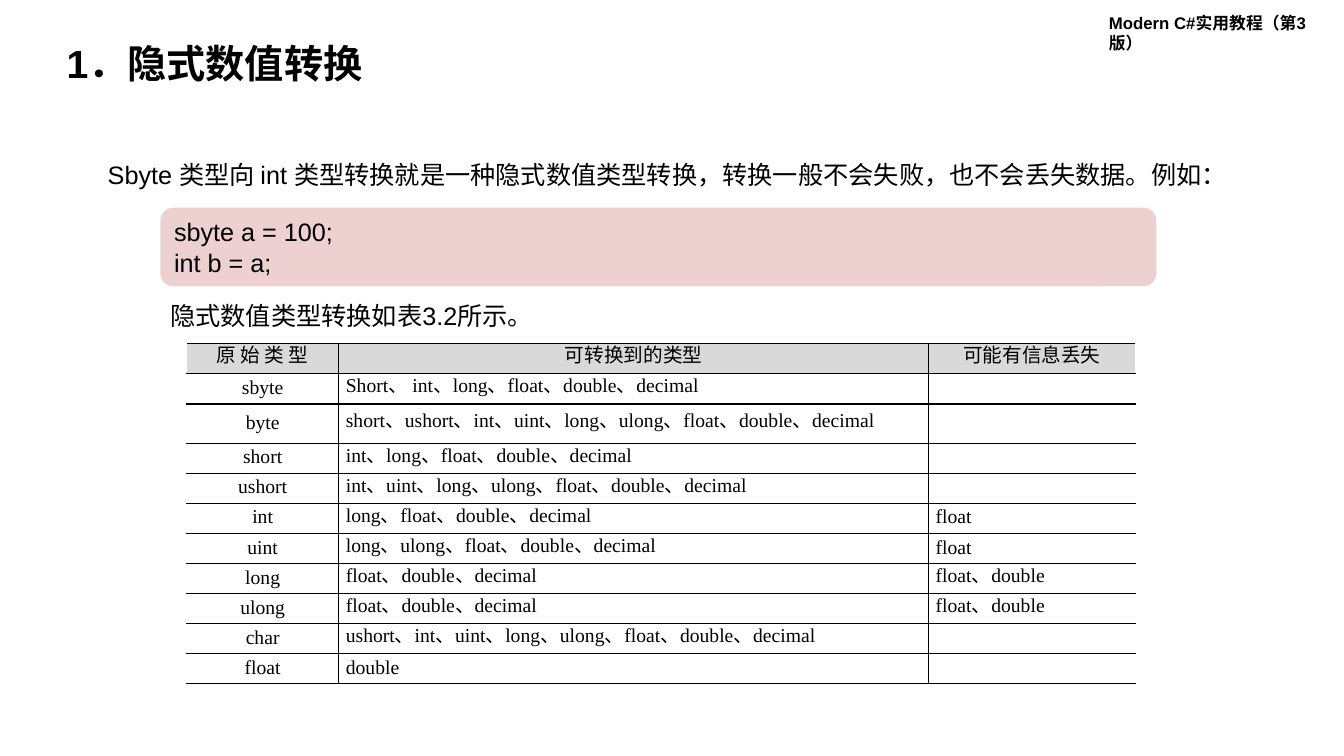
from dataclasses import dataclass

from lxml.etree import SubElement
from pptx import Presentation
from pptx.dml.color import RGBColor
from pptx.enum.shapes import MSO_SHAPE
from pptx.enum.text import MSO_ANCHOR, PP_ALIGN
from pptx.oxml.ns import qn
from pptx.util import Inches, Pt


@dataclass(frozen=True)
class Theme:
    ink: str = "000000"
    code_fill: str = "EDD0D0"
    header_fill: str = "D9D9D9"
    sans: str = "Arial"
    serif: str = "Times New Roman"
    title: int = 28
    body: int = 18
    cell: int = 14
    running: int = 12
    rule: int = 1


THEME = Theme()
SLIDE_W, SLIDE_H = Inches(13.33), Inches(7.5)
COLUMN_WEIGHTS = (151, 585, 205)
COLUMN_BORDERS = (("R", "T", "B"), ("L", "R", "T", "B"), ("L", "T", "B"))
HEADERS = ("原 始 类 型", "可转换到的类型", "可能有信息丢失")
CONVERSIONS = (
    ("sbyte", "Short、 int、long、float、double、decimal", ""),
    ("byte", "short、ushort、int、uint、long、ulong、float、double、decimal", ""),
    ("short", "int、long、float、double、decimal", ""),
    ("ushort", "int、uint、long、ulong、float、double、decimal", ""),
    ("int", "long、float、double、decimal", "float"),
    ("uint", "long、ulong、float、double、decimal", "float"),
    ("long", "float、double、decimal", "float、double"),
    ("ulong", "float、double、decimal", "float、double"),
    ("char", "ushort、int、uint、long、ulong、float、double、decimal", ""),
    ("float", "double", ""),
)


def percent_box(left, top, width, height):
    return (
        int(SLIDE_W * left / 100),
        int(SLIDE_H * top / 100),
        int(SLIDE_W * width / 100),
        int(SLIDE_H * height / 100),
    )


def style(p, size, name=THEME.sans, bold=False, align=PP_ALIGN.LEFT):
    p.alignment = align
    p.font.size = Pt(size)
    p.font.name = name
    p.font.bold = bold
    p.font.color.rgb = RGBColor.from_string(THEME.ink)


def add_title(s, box, text):
    sp = s.shapes.title
    sp.left, sp.top, sp.width, sp.height = box
    tf = sp.text_frame
    tf.text = text
    tf.vertical_anchor = MSO_ANCHOR.MIDDLE
    p = tf.paragraphs[0]
    p.line_spacing = 0.9
    style(p, THEME.title, bold=True)


def add_text(s, box, text, size=THEME.body, bold=False, wrap=True):
    tf = s.shapes.add_textbox(*box).text_frame
    tf.word_wrap = wrap
    tf.text = text
    style(tf.paragraphs[0], size, bold=bold)


def add_code(s, box, text):
    sp = s.shapes.add_shape(MSO_SHAPE.ROUNDED_RECTANGLE, *box)
    sp.shadow.inherit = False
    sp.fill.solid()
    sp.fill.fore_color.rgb = RGBColor.from_string(THEME.code_fill)
    sp.line.fill.background()
    tf = sp.text_frame
    tf.vertical_anchor = MSO_ANCHOR.MIDDLE
    tf.text = text
    for p in tf.paragraphs:
        style(p, THEME.body)


def add_borders(cell, sides):
    tc_pr = cell._tc.get_or_add_tcPr()
    for side in sides:
        ln = SubElement(tc_pr, qn(f"a:ln{side}"), w=str(Pt(THEME.rule)))
        fill = SubElement(ln, qn("a:solidFill"))
        SubElement(fill, qn("a:srgbClr"), val=THEME.ink)


def fill_cell(cell, text, header, centred, sides):
    cell.margin_left = cell.margin_right = Inches(0.07)
    cell.margin_top = cell.margin_bottom = 0
    cell.vertical_anchor = MSO_ANCHOR.MIDDLE
    add_borders(cell, sides)
    if header:
        cell.fill.solid()
        cell.fill.fore_color.rgb = RGBColor.from_string(THEME.header_fill)
    else:
        cell.fill.background()
    cell.text = text
    p = cell.text_frame.paragraphs[0]
    p.line_spacing = Pt(THEME.cell)
    align = PP_ALIGN.CENTER if centred else PP_ALIGN.JUSTIFY
    style(p, THEME.cell, THEME.serif, align=align)


def add_conversion_table(s, box):
    rows = (HEADERS, *CONVERSIONS)
    table = s.shapes.add_table(len(rows), len(HEADERS), *box).table
    table.first_row = table.horz_banding = False
    for column, weight in zip(table.columns, COLUMN_WEIGHTS):
        column.width = box[2] * weight // sum(COLUMN_WEIGHTS)
    for i, row in enumerate(rows):
        table.rows[i].height = box[3] // len(rows)
        for j, text in enumerate(row):
            header = i == 0
            fill_cell(table.cell(i, j), text, header, header or j == 0, COLUMN_BORDERS[j])


def main():
    prs = Presentation()
    prs.slide_width, prs.slide_height = SLIDE_W, SLIDE_H
    s = prs.slides.add_slide(prs.slide_layouts[5])
    add_text(s, percent_box(81.77, 1.07, 18.3, 4), "Modern C#实用教程（第3版）", THEME.running, True)
    add_title(s, percent_box(4.2, 5.2, 47.56, 6.93), "1．隐式数值转换")
    add_text(
        s,
        percent_box(7.28, 20.4, 85.67, 5.33),
        "Sbyte 类型向 int 类型转换就是一种隐式数值类型转换，转换一般不会失败，也不会丢失数据。例如：",
    )
    add_code(s, percent_box(11.93, 27.47, 74.12, 10.4), "sbyte a = 100;\nint b = a;")
    add_text(s, percent_box(11.93, 39.07, 28.73, 5.33), "隐式数值类型转换如表3.2所示。", wrap=False)
    add_conversion_table(s, percent_box(13.88, 45.47, 70.59, 43.8))
    prs.save("out.pptx")


if __name__ == "__main__":
    main()
